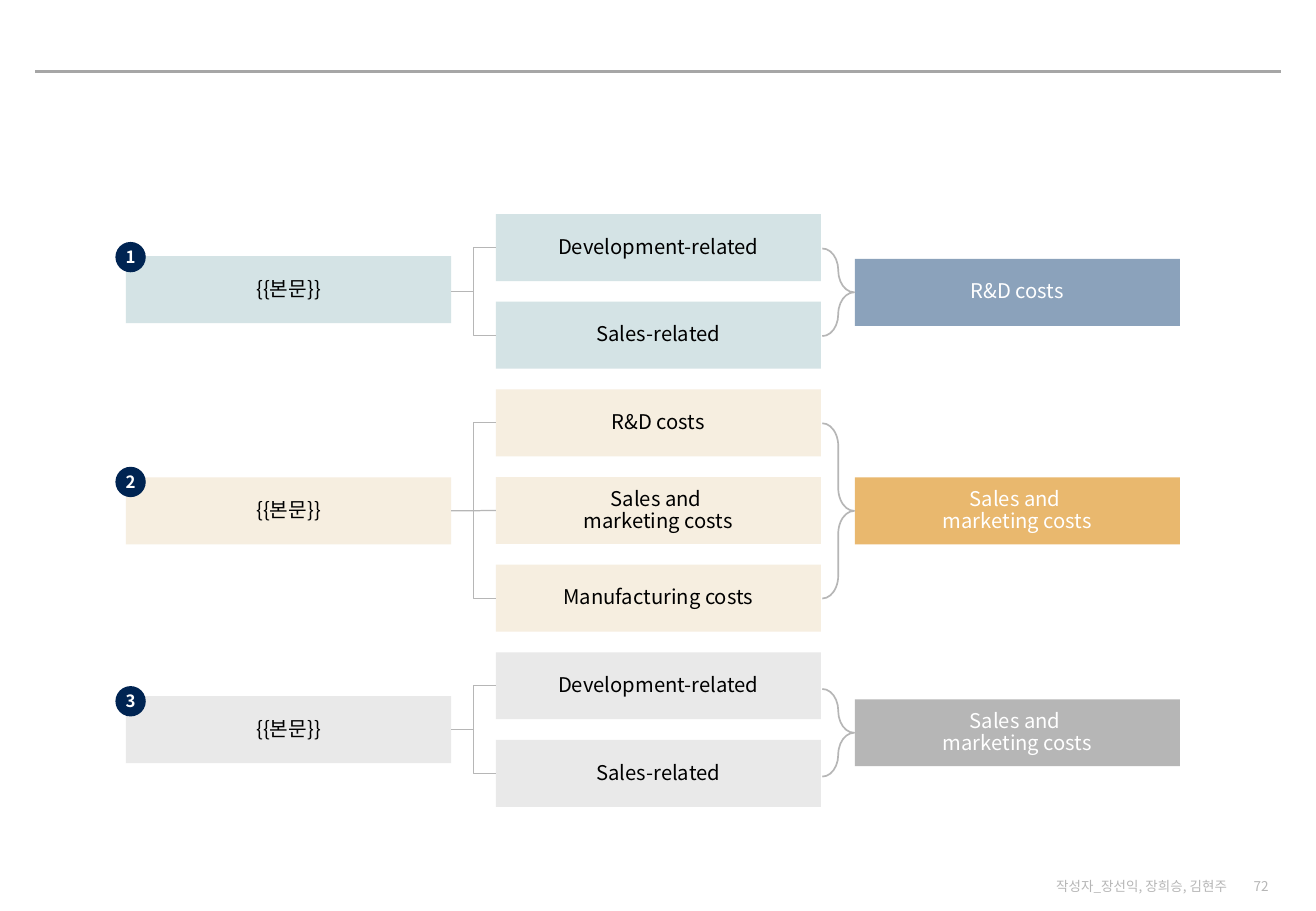
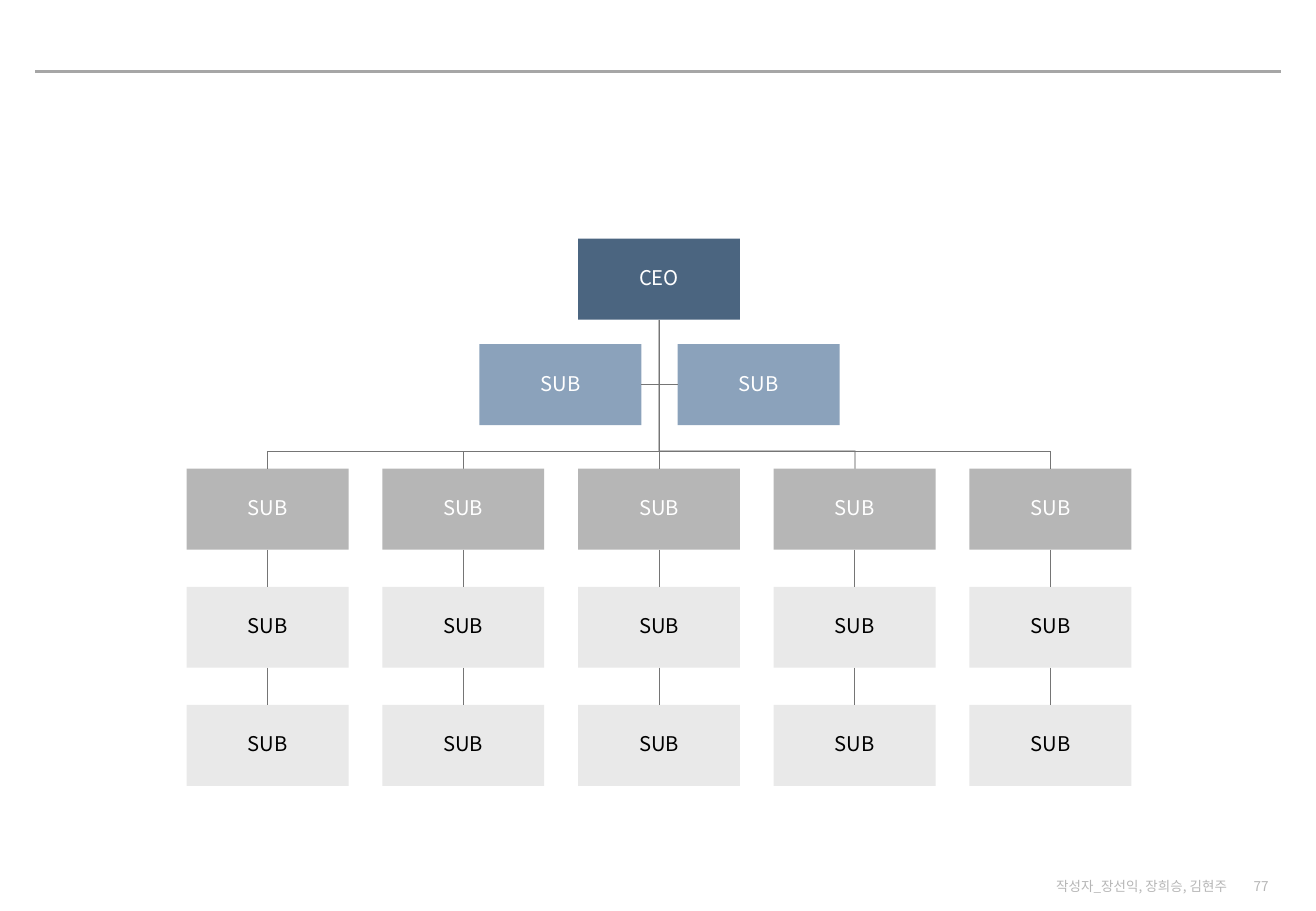
"""Build a cost tree slide and an organisation chart slide."""
from dataclasses import dataclass

from lxml import etree
from pptx import Presentation
from pptx.dml.color import RGBColor
from pptx.enum.shapes import MSO_CONNECTOR, MSO_SHAPE
from pptx.enum.text import MSO_ANCHOR, PP_ALIGN
from pptx.oxml.ns import qn
from pptx.shapes.autoshape import Shape
from pptx.shapes.connector import Connector
from pptx.slide import Slide
from pptx.util import Pt

RECT, OVAL, BRACE = MSO_SHAPE.RECTANGLE, MSO_SHAPE.OVAL, MSO_SHAPE.RIGHT_BRACE
STRAIGHT, ELBOW = MSO_CONNECTOR.STRAIGHT, MSO_CONNECTOR.ELBOW
MIDDLE, CENTER, RIGHT = MSO_ANCHOR.MIDDLE, PP_ALIGN.CENTER, PP_ALIGN.RIGHT
TOP_SIDE, LEFT_SIDE, BASE_SIDE, RIGHT_SIDE = range(4)

FONT = "Noto Sans CJK KR"
BLACK, WHITE, NAVY, STEEL, BLUE = "000000", "FFFFFF", "002452", "4B6580", "8BA2BB"
TEAL, CREAM, GOLD = "D4E3E5", "F6EEE0", "E9B86E"
PALE, SILVER, MIST, GRAY, RULE = "E9E9E9", "B6B6B6", "BFBFBF", "757575", "A6A6A6"
AUTHORS = "작성자_장선익, 장희승, 김현주"
BODY = "{{본문}}"
SALES = ("Sales and ", "marketing costs")

COST_W, COST_H = 192.7, 39.7
LEFT_X, MID_X, RIGHT_X = 74.7, 293.9, 506.7
MID_TOP, MID_STEP = 126.9, 51.95
BRACE_X, BRACE_W = 487.4, 18.9
BADGE_X, BADGE = 68.4, 18

UNIT_W, UNIT_H = 96, 48
UNIT_X, UNIT_Y = 110.6, 277.8
STEP_X, STEP_Y = 116, 70
COLS = 5
BAR_Y = 267.5


@dataclass(frozen=True)
class Box:
    """Place and look of a filled shape, in points."""

    x: float
    y: float
    w: float
    h: float
    fill: str
    ink: str = BLACK
    size: float = 12
    bold: bool = False
    pad: tuple[float, float] = (7.2, 3.6)


@dataclass(frozen=True)
class Group:
    """One numbered branch of the cost tree."""

    left_y: float
    right_y: float
    badge_y: float
    fill: str
    end_fill: str
    items: tuple[tuple[str, ...], ...]
    end: tuple[str, ...]


GROUPS = (
    Group(151.8, 153.4, 143.4, TEAL, BLUE,
          (("Development-related",), ("Sales-related",)), ("R&D costs",)),
    Group(283, 283, 276.7, CREAM, GOLD,
          (("R&D costs",), SALES, ("Manufacturing costs",)), SALES),
    Group(412.7, 414.5, 406.7, PALE, SILVER,
          (("Development-related",), ("Sales-related",)), SALES),
)


def color(code: str) -> RGBColor:
    """Turn a hex string into a colour."""
    return RGBColor.from_string(code)


def write(shape: Shape, lines: tuple[str, ...], size: float, ink: str, align: PP_ALIGN,
          bold: bool = False, pad: tuple[float, float] = (7.2, 3.6),
          space: float = 1, wrap: bool = True) -> None:
    """Set the text of a shape, one paragraph a line."""
    frame = shape.text_frame
    frame.word_wrap = wrap
    frame.vertical_anchor = MIDDLE
    frame.margin_left = frame.margin_right = Pt(pad[0])
    frame.margin_top = frame.margin_bottom = Pt(pad[1])
    for i, line in enumerate(lines):
        para = frame.add_paragraph() if i else frame.paragraphs[0]
        para.alignment = align
        para.line_spacing = space
        run = para.add_run()
        run.text = line
        font = run.font
        font.name, font.size, font.bold = FONT, Pt(size), bold
        font.color.rgb = color(ink)
        east = etree.SubElement(run.font._element, qn("a:ea"))
        east.set("typeface", FONT)


def draw(slide: Slide, box: Box, lines: tuple[str, ...], kind: MSO_SHAPE = RECT) -> Shape:
    """Add a filled shape with centred text."""
    shape = slide.shapes.add_shape(kind, Pt(box.x), Pt(box.y), Pt(box.w), Pt(box.h))
    shape.shadow.inherit = False
    shape.fill.solid()
    shape.fill.fore_color.rgb = color(box.fill)
    shape.line.fill.background()
    plain = kind == RECT
    write(shape, lines, box.size, box.ink, CENTER, box.bold, box.pad,
          0.9 if plain else 1, plain)
    return shape


def link(slide: Slide, start: tuple[float, float], end: tuple[float, float], ink: str,
         width: float, kind: MSO_CONNECTOR = STRAIGHT) -> Connector:
    """Add a connector between two points."""
    line = slide.shapes.add_connector(kind, *map(Pt, start + end))
    line.line.color.rgb = color(ink)
    line.line.width = Pt(width)
    etree.SubElement(line.element.spPr, qn("a:effectLst"))
    return line


def join(slide: Slide, first: Shape, side: int, last: Shape, other: int,
         ink: str, width: float) -> None:
    """Join the sides of two boxes with a straight line."""
    line = link(slide, (0, 0), (0, 0), ink, width)
    line.begin_connect(first, side)
    line.end_connect(last, other)


def trace(shape: Shape, ink: str, width: float) -> None:
    """Show only the outline of a shape."""
    shape.shadow.inherit = False
    shape.fill.background()
    shape.line.color.rgb = color(ink)
    shape.line.width = Pt(width)


def start(deck: Presentation, page: str) -> Slide:
    """Add a slide with the shared rule and footer."""
    slide = deck.slides.add_slide(deck.slide_layouts[6])
    link(slide, (21, 42.5), (759, 42.5), RULE, 0)
    for x, w, text in ((729.5, 29.5, page), (613.4, 121, AUTHORS)):
        note = slide.shapes.add_textbox(Pt(x), Pt(519.8), Pt(w), Pt(11.5))
        write(note, (text,), 8, SILVER, RIGHT)
    return slide


def branch(slide: Slide, group: Group, number: int, top: float) -> None:
    """Draw one branch of the cost tree."""
    root = draw(slide, Box(LEFT_X, group.left_y, COST_W, COST_H, group.fill), (BODY,))
    span = (len(group.items) - 1) * MID_STEP
    mid = top + (span + COST_H) / 2
    for i, text in enumerate(group.items):
        y = top + i * MID_STEP
        item = draw(slide, Box(MID_X, y, COST_W, COST_H, group.fill), text)
        if 2 * i == len(group.items) - 1:
            join(slide, root, RIGHT_SIDE, item, LEFT_SIDE, SILVER, 0.75)
        else:
            link(slide, (LEFT_X + COST_W, mid), (MID_X, y + COST_H / 2), SILVER, 0.75, ELBOW)
    draw(slide, Box(RIGHT_X, group.right_y, COST_W, COST_H, group.end_fill, WHITE), group.end)
    brace_y = group.right_y + (COST_H - span) / 2
    brace = slide.shapes.add_shape(BRACE, Pt(BRACE_X), Pt(brace_y), Pt(BRACE_W), Pt(span))
    brace.adjustments[0] = 0.72
    trace(brace, SILVER, 1)
    draw(slide, Box(BADGE_X, group.badge_y, BADGE, BADGE, NAVY, WHITE, 10, True, (0, 0)),
         (str(number),), OVAL)


def costs(deck: Presentation) -> None:
    """Build the cost tree slide."""
    slide = start(deck, "72")
    top = MID_TOP
    for number, group in enumerate(GROUPS, 1):
        branch(slide, group, number, top)
        top += len(group.items) * MID_STEP


def unit(slide: Slide, x: float, y: float, fill: str, ink: str, text: str = "SUB") -> Shape:
    """Add one box of the organisation chart."""
    return draw(slide, Box(x, y, UNIT_W, UNIT_H, fill, ink, pad=(0.72, 0.72)), (text,))


def people(deck: Presentation) -> None:
    """Build the organisation chart slide."""
    slide = start(deck, "77")
    lefts = [UNIT_X + i * STEP_X for i in range(COLS)]
    mids = [x + UNIT_W / 2 for x in lefts]
    chief_y = 141.5
    for col, ink, width in ((3, MIST, 1), (1, GRAY, 0.5)):
        pen = slide.shapes.build_freeform(Pt(mids[2]), Pt(chief_y + UNIT_H))
        turns = ((mids[2], BAR_Y), (mids[col], BAR_Y), (mids[col], UNIT_Y))
        pen.add_line_segments([(Pt(x), Pt(y)) for x, y in turns], close=False)
        trace(pen.convert_to_shape(), ink, width)
    unit(slide, lefts[2], chief_y, STEEL, WHITE, "CEO")
    link(slide, (mids[0], BAR_Y), (mids[-1], BAR_Y), GRAY, 0.5)
    for col, x in enumerate(lefts):
        head = unit(slide, x, UNIT_Y, SILVER, WHITE)
        if col % 2 == 0:
            drop = link(slide, (mids[col], BAR_Y), (mids[col], UNIT_Y), GRAY, 0.5)
            drop.end_connect(head, TOP_SIDE)
        for row in (1, 2):
            part = unit(slide, x, UNIT_Y + row * STEP_Y, PALE, BLACK)
            join(slide, head, BASE_SIDE, part, TOP_SIDE, GRAY, 0.5)
            head = part
    pair = [unit(slide, x, 204, BLUE, WHITE) for x in (284.2, 401.7)]
    join(slide, pair[0], RIGHT_SIDE, pair[1], LEFT_SIDE, GRAY, 0.5)


def main() -> None:
    """Build and save the deck."""
    deck = Presentation()
    deck.slide_width, deck.slide_height = Pt(780), Pt(540)
    costs(deck)
    people(deck)
    deck.save("out.pptx")


if __name__ == "__main__":
    main()
